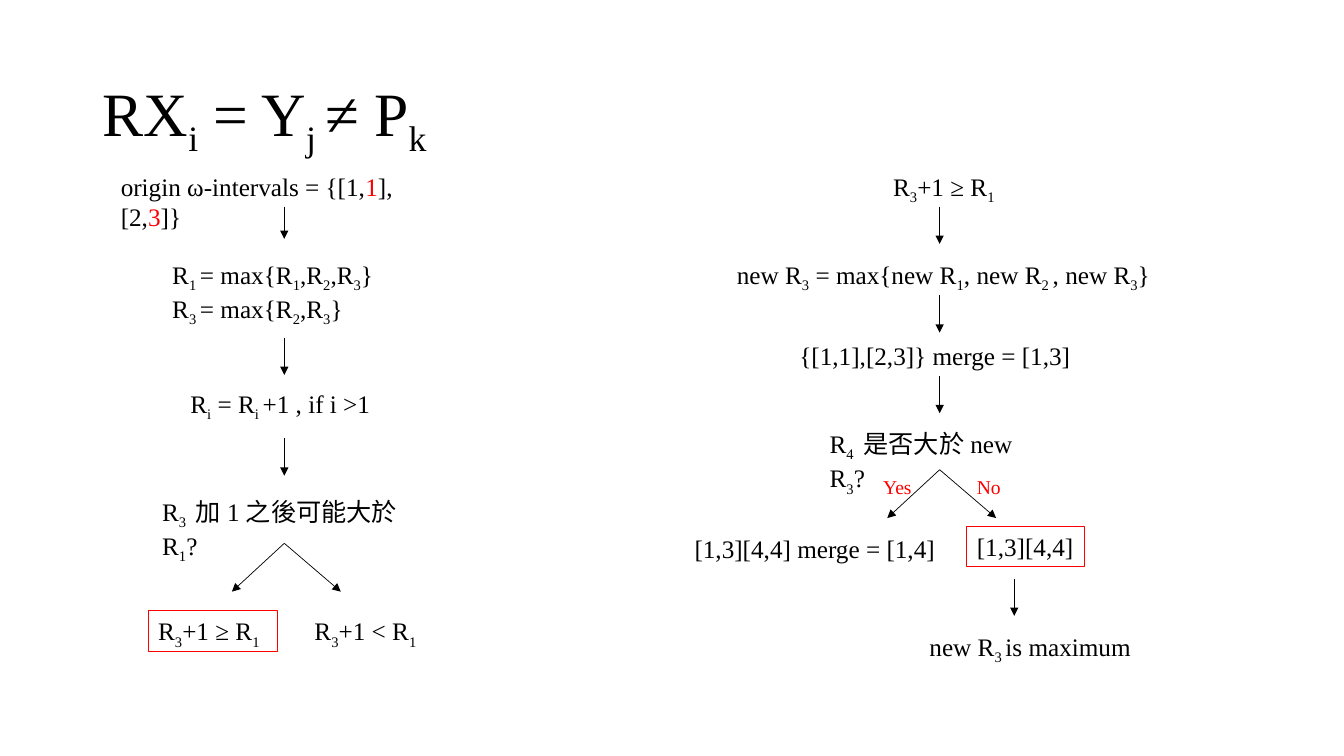
"""Build the slide that traces the merging of omega-intervals."""
import pptx
import pptx.dml.color
import pptx.enum.shapes
import pptx.enum.text
import pptx.oxml
import pptx.oxml.ns
import pptx.util
from pptx.dml.color import RGBColor
from pptx.util import Inches

BLACK = RGBColor(0, 0, 0)
RED = RGBColor(255, 0, 0)
FACE = "Times New Roman"
LEFT, RIGHT, LAST = 2.82, 9.32, 10.06
DROP = 0.37
ROW = 0.4


def write(para, text, size, color):
    """Fill a paragraph; ~ toggles subscript and * toggles red."""
    para.font.name = FACE
    para.font.size = pptx.util.Pt(size)
    para.font.color.rgb = color
    for i, part in enumerate(text.split("~")):
        for j, bit in enumerate(part.split("*")):
            if not bit:
                continue
            run = para.add_run()
            run.text = bit
            if i % 2:
                run._r.get_or_add_rPr().set("baseline", "-25000")
            if j % 2:
                run.font.color.rgb = RED


def fill(shape, lines, size, color):
    """Write left-aligned lines into a shape."""
    frame = shape.text_frame
    frame.word_wrap = True
    frame.vertical_anchor = pptx.enum.text.MSO_ANCHOR.TOP
    for i, line in enumerate(lines):
        para = frame.paragraphs[0] if i == 0 else frame.add_paragraph()
        para.alignment = pptx.enum.text.PP_ALIGN.LEFT
        write(para, line, size, color)
    return shape


def label(slide, x, y, w, *lines, h=ROW, size=18, color=BLACK):
    """Add a plain text box."""
    box = slide.shapes.add_textbox(Inches(x), Inches(y), Inches(w), Inches(h))
    return fill(box, lines, size, color)


def frame(slide, x, y, w, text):
    """Add a red outlined result."""
    kind = pptx.enum.shapes.MSO_SHAPE.RECTANGLE
    box = slide.shapes.add_shape(kind, Inches(x), Inches(y), Inches(w), Inches(ROW))
    box.shadow.inherit = False
    box.fill.background()
    box.line.color.rgb = RED
    box.line.width = pptx.util.Pt(0.75)
    return fill(box, [text], 18, BLACK)


def arrow(slide, x, y, dx=0, dy=DROP, source=None):
    """Add a thin arrow, joined to the bottom of a source box if given."""
    kind = pptx.enum.shapes.MSO_CONNECTOR.STRAIGHT
    line = slide.shapes.add_connector(
        kind, Inches(x), Inches(y), Inches(x + dx), Inches(y + dy))
    if source is not None:
        line.begin_connect(source, 2)
    line.line.color.rgb = BLACK
    line.line.width = pptx.util.Pt(0.5)
    space = pptx.oxml.ns.nsdecls("a")
    head = pptx.oxml.parse_xml(f'<a:tailEnd {space} type="triangle"/>')
    line.line._get_or_add_ln().append(head)
    line._element.spPr.append(pptx.oxml.parse_xml(f"<a:effectLst {space}/>"))


def fork(slide, x, y):
    """Add the two arrows of a decision."""
    for dx in (-0.52, 0.56):
        arrow(slide, x, y, dx, 0.48)


def title(slide):
    """Add the heading."""
    box = label(slide, 0.92, 0.4, 11.5, "RX~i~ = Y~j ~≠ P~k", h=1.45, size=44)
    box.text_frame.vertical_anchor = pptx.enum.text.MSO_ANCHOR.MIDDLE
    box.text_frame.paragraphs[0].line_spacing = 0.9


def first(slide):
    """Draw the left flow."""
    start = label(slide, 1.1, 1.65, 3.44, "origin ω-intervals = {[1,*1*],[2,*3*]}")
    arrow(slide, LEFT, 2.05, dy=0.32, source=start)
    label(slide, 1.61, 2.52, 2.26, "R~1 ~= max{R~1~,R~2~,R~3~}",
          "R~3 ~= max{R~2~,R~3~}", h=0.91)
    arrow(slide, LEFT, 3.35)
    label(slide, 1.79, 3.8, 2.08, "R~i~ = R~i ~+1 , if i >1")
    arrow(slide, LEFT, 4.35)
    label(slide, 1.51, 4.87, 2.78, "R~3 ~加1之後可能大於R~1~?")
    fork(slide, LEFT, 5.39)
    frame(slide, 1.47, 6.06, 1.28, "R~3~+1 ≥ R~1~")
    label(slide, 3.02, 6.06, 1.28, "R~3~+1 < R~1~")


def second(slide):
    """Draw the right flow."""
    label(slide, 8.76, 1.65, 1.28, "R~3~+1 ≥ R~1~")
    arrow(slide, RIGHT, 2.05)
    label(slide, 7.21, 2.52, 4.39,
          "new R~3~ = max{new R~1~, new R~2 ~, new R~3~}")
    arrow(slide, RIGHT, 2.93)
    merge = label(slide, 7.83, 3.33, 2.98, "{[1,1],[2,3]} merge = [1,3]")
    arrow(slide, RIGHT, 3.73, source=merge)
    label(slide, 8.13, 4.2, 2.38, "R~4 ~是否大於new R~3~?")
    fork(slide, RIGHT, 4.66)
    for x, word in ((8.66, "Yes"), (9.59, "No")):
        label(slide, x, 4.66, 0.93, word, h=0.34, size=14, color=RED)
    label(slide, 6.79, 5.24, 2.67, "[1,3][4,4] merge = [1,4]")
    frame(slide, 9.59, 5.22, 1.17, "[1,3][4,4]")
    arrow(slide, LAST, 5.74)
    label(slide, 9.12, 6.21, 2.24, "new R~3 ~is maximum")


def main():
    """Build and save the slide."""
    deck = pptx.Presentation()
    deck.slide_width = Inches(13.33)
    deck.slide_height = Inches(7.5)
    slide = deck.slides.add_slide(deck.slide_layouts[6])
    title(slide)
    first(slide)
    second(slide)
    deck.save("out.pptx")


if __name__ == "__main__":
    main()
